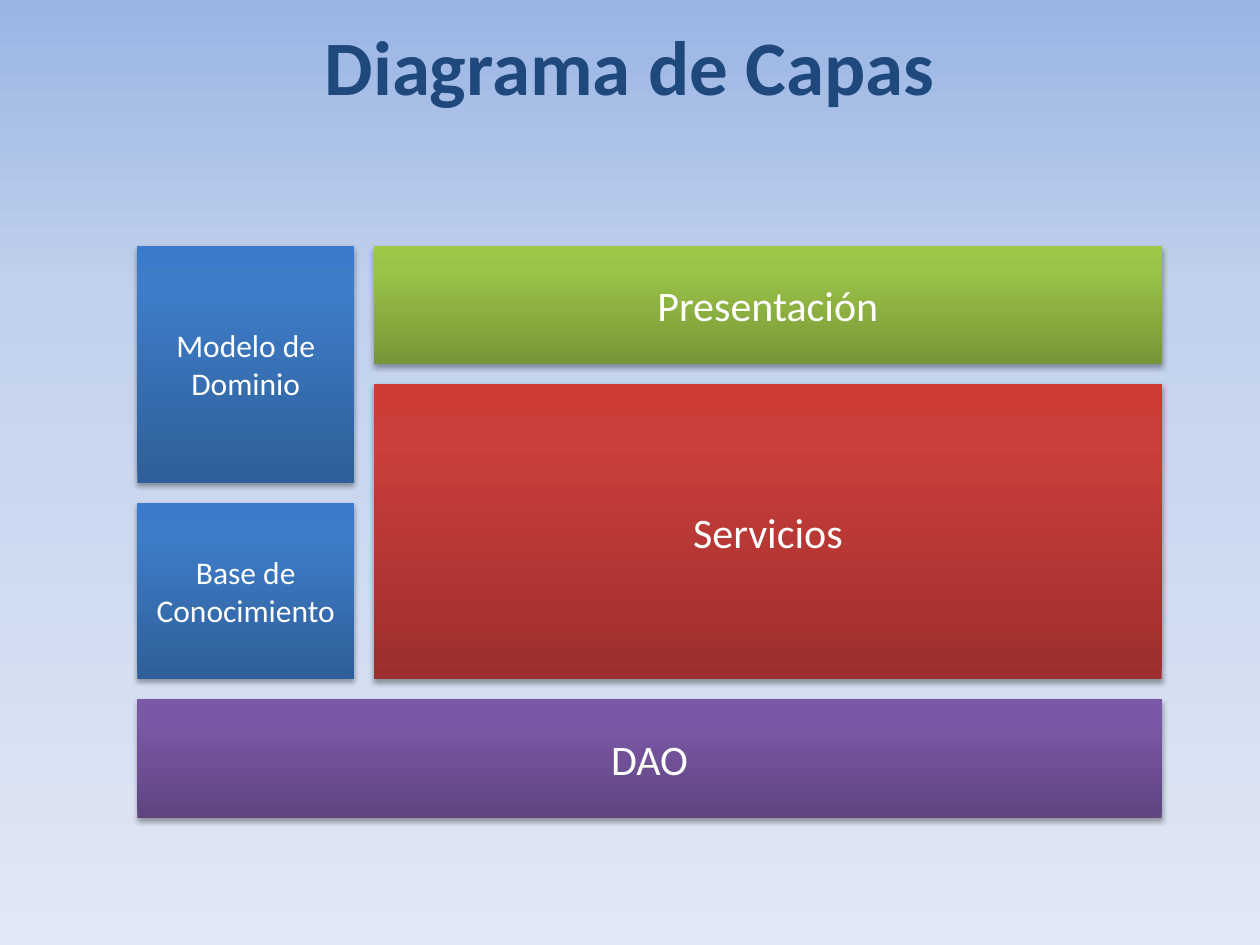
from lxml.etree import SubElement
from pptx import Presentation
from pptx.dml.color import RGBColor
from pptx.enum.shapes import MSO_SHAPE as SHAPE
from pptx.enum.text import MSO_ANCHOR as ANCHOR, PP_ALIGN as ALIGN
from pptx.oxml.ns import qn
from pptx.util import Inches, Pt

FONT = "Calibri"
WHITE = RGBColor(0xFF, 0xFF, 0xFF)
NAVY = RGBColor(0x1F, 0x49, 0x7D)
BLACK = RGBColor(0x00, 0x00, 0x00)


def stops(low, middle, high, position=80, alpha=100):
    """Three gradient stops as (percent, colour, opacity percent)."""
    colors = [RGBColor.from_string(c) for c in (low, middle, high)]
    return list(zip((0, position, 100), colors, (100, alpha, 100)))


SKY = stops("9AB5E4", "C2D1ED", "E1E8F5", position=32, alpha=52)
BLUE = stops("2F5F99", "3D7CC7", "3A7CCB")
GREEN = stops("779737", "9BC348", "9DC746")
RED = stops("9C2F2D", "CB3E3A", "CE3B37")
PURPLE = stops("5F4480", "7B58A6", "7C57A8")


def add_color(parent, color, alpha):
    clr = SubElement(parent, qn("a:srgbClr"), val=str(color))
    if alpha < 100:
        SubElement(clr, qn("a:alpha"), val=str(alpha * 1000))


def set_gradient(fill, element, gradient, angle):
    """Fill with a linear gradient; angle is counter-clockwise."""
    fill.gradient()
    fill.gradient_angle = angle
    stop_list = next(element.iter(qn("a:gsLst")))
    for old in list(stop_list):
        stop_list.remove(old)
    for position, color, alpha in gradient:
        gs = SubElement(stop_list, qn("a:gs"), pos=str(position * 1000))
        add_color(gs, color, alpha)


def add_shadow(sp):
    sp.shadow.inherit = False
    effects = next(sp._element.iter(qn("a:effectLst")))
    shadow = SubElement(effects, qn("a:outerShdw"), blurRad=str(Pt(3.1)),
                        dist=str(Pt(1.8)), dir="5400000", rotWithShape="0")
    add_color(shadow, BLACK, 35)


def write_text(sp, text, size=24, color=WHITE, bold=False):
    tf = sp.text_frame
    tf.word_wrap = True
    tf.vertical_anchor = ANCHOR.MIDDLE
    p = tf.paragraphs[0]
    p.alignment = ALIGN.CENTER
    r = p.add_run()
    r.text = text
    r.font.name = FONT
    r.font.size = Pt(size)
    r.font.bold = bold
    r.font.color.rgb = color


def add_title(s, left, top, width, height):
    box = s.shapes.add_textbox(left, top, width, height)
    write_text(box, "Diagrama de Capas", size=44, color=NAVY, bold=True)


def add_layer(s, text, gradient, left, top, width, height, size=24):
    sp = s.shapes.add_shape(SHAPE.RECTANGLE, left, top, width, height)
    set_gradient(sp.fill, sp._element, gradient, angle=90)
    sp.line.fill.background()
    add_shadow(sp)
    write_text(sp, text, size=size)


def add_layer_diagram(s, left, top, width, height):
    gap = Inches(0.16)
    bar_h = Inches(0.94)
    side_w = Inches(1.72)
    domain_h = 2 * bar_h
    main_left = left + side_w + gap
    main_w = width - side_w - gap
    dao_top = top + height - bar_h
    services_top = top + bar_h + gap
    base_top = top + domain_h + gap

    add_layer(s, "Base de Conocimiento", BLUE, left, base_top,
              side_w, dao_top - gap - base_top, size=18)
    add_layer(s, "Presentación", GREEN, main_left, top, main_w, bar_h)
    add_layer(s, "Modelo de Dominio", BLUE, left, top, side_w, domain_h, size=18)
    add_layer(s, "Servicios", RED, main_left, services_top,
              main_w, dao_top - gap - services_top)
    add_layer(s, "DAO", PURPLE, left, dao_top, width, bar_h)


def main():
    prs = Presentation()
    prs.slide_width, prs.slide_height = Inches(10), Inches(7.5)
    s = prs.slides.add_slide(prs.slide_layouts[6])
    set_gradient(s.background.fill, s._element, SKY, angle=270)
    add_title(s, Inches(0.75), Inches(0), Inches(8.5), Inches(1.02))
    add_layer_diagram(s, Inches(1.09), Inches(1.95), Inches(8.13), Inches(4.54))
    prs.save("out.pptx")


if __name__ == "__main__":
    main()
